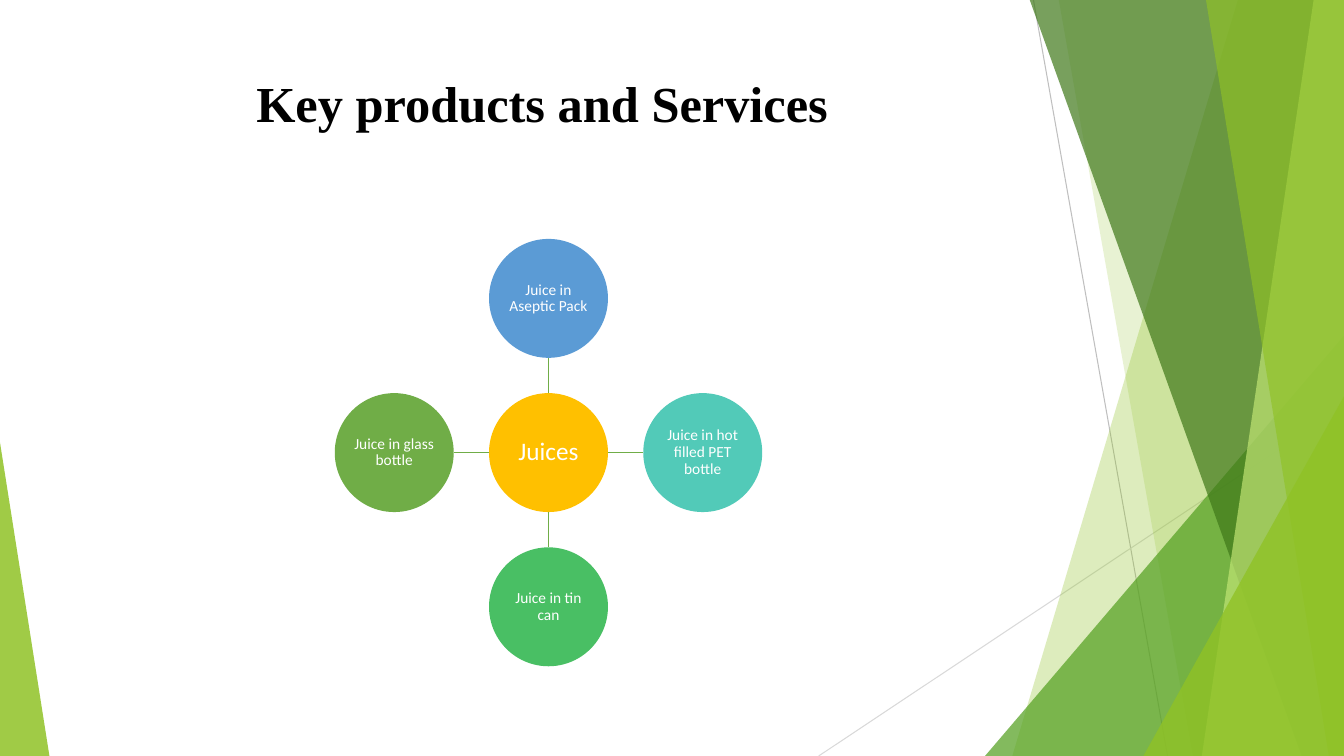
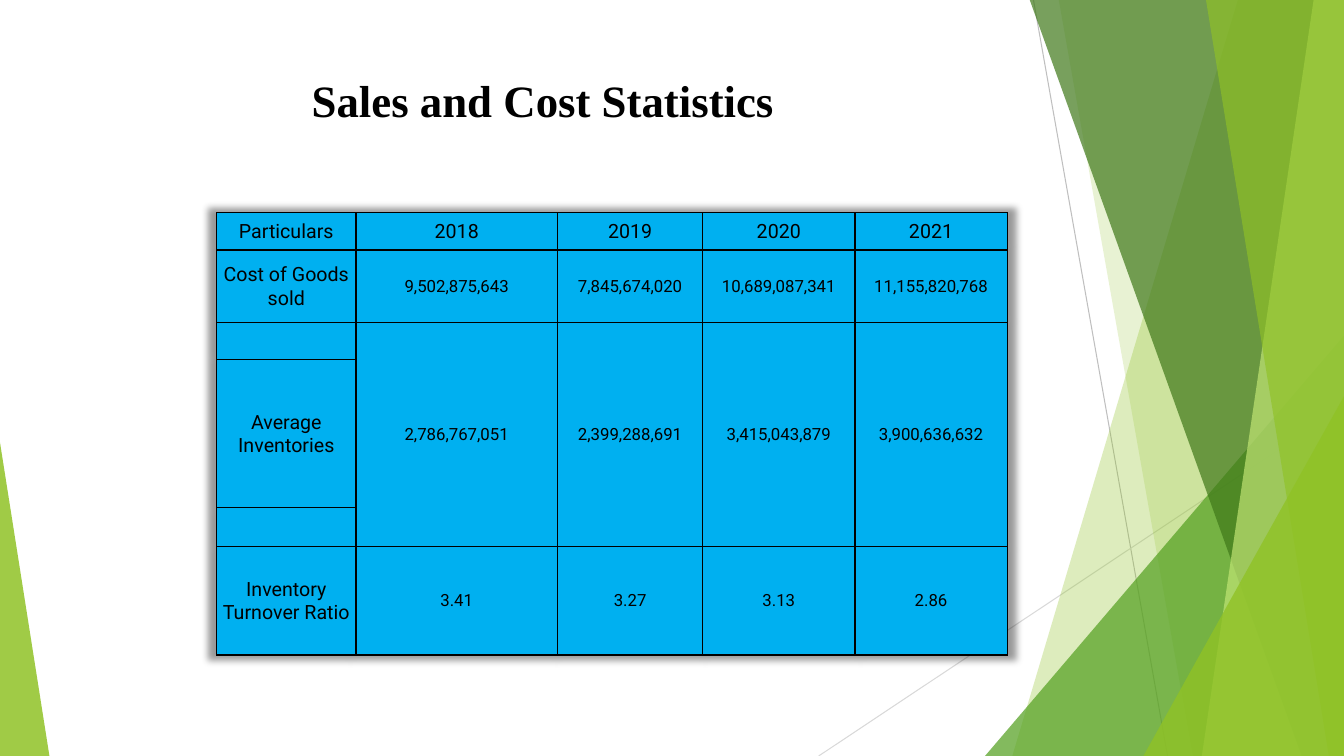
from dataclasses import dataclass

from lxml.etree import SubElement
from pptx import Presentation
from pptx.dml.color import RGBColor
from pptx.enum.shapes import MSO_CONNECTOR, MSO_SHAPE
from pptx.enum.text import MSO_ANCHOR, PP_ALIGN
from pptx.oxml import parse_xml
from pptx.oxml.ns import nsdecls, qn
from pptx.util import Inches, Pt

WIDTH, HEIGHT = 13.33, 7.5
BAND_TOP = -0.01
BLACK, WHITE, LIME = "000000", "FFFFFF", "90C226"
LINK_GREEN, TABLE_BLUE = "70AD47", "00B0F0"
TITLE_FONT, DIAGRAM_FONT, TABLE_FONT = "Times New Roman", "Calibri", "Roboto"


@dataclass(frozen=True)
class Band:
    """A panel from a slanted left edge to the right side of the slide."""
    top_x: float
    bottom_x: float
    fill: str
    opacity: int


@dataclass(frozen=True)
class Wedge:
    """A right triangle standing on the bottom of the slide."""
    left: float
    width: float
    height: float
    peak: float
    fill: str
    opacity: int


@dataclass(frozen=True)
class Rule:
    start: tuple[float, float]
    end: tuple[float, float]
    color: str
    weight: float


@dataclass(frozen=True)
class Node:
    """A circle, placed in steps right and down from the hub."""
    column: int
    row: int
    label: str
    fill: str
    size: int = 11


# Decoration shared by the slides, from back to front
DECORATION = (
    Rule((10.25, 0), (11.58, HEIGHT), "BFBFBF", 0.75),
    Rule((WIDTH, 4.03), (8.12, HEIGHT), "D9D9D9", 0.75),
    Band(12.28, 10.04, LIME, 30),
    Band(10.5, 11.83, LIME, 20),
    Wedge(9.77, 3.56, 4.17, 1, "54A021", 72),
    Band(10.21, 12.91, "3F7819", 70),
    Band(13.03, 11.92, "C0E474", 70),
    Band(11.96, 13.18, LIME, 65),
    Wedge(11.34, 1.99, 3.57, 1, LIME, 80),
    Wedge(0, 0.49, 3.11, 0, LIME, 85),
)

# Product diagram
HUB_X, HUB_Y = 5.44, 4.49
STEP, DIAMETER = 1.53, 1.18
NODES = (
    Node(0, 0, "Juices", "FFC000", 18),
    Node(0, -1, "Juice in Aseptic Pack", "5B9BD5"),
    Node(1, 0, "Juice in hot filled PET bottle", "52CAB8"),
    Node(0, 1, "Juice in tin can", "49BF64"),
    Node(-1, 0, "Juice in glass bottle", LINK_GREEN),
)

# Statistics table
COLUMN_WIDTHS = (1.38, 2, 1.44, 1.51, 1.51)
ROW_HEIGHTS = (0.37, 0.72, 0.37, 1.47, 0.38, 1.08)
MERGED_ROWS = (2, 4)
STATISTICS = (
    ("Particulars", "2018", "2019", "2020", "2021"),
    ("Cost of Goods sold", "9,502,875,643", "7,845,674,020", "10,689,087,341", "11,155,820,768"),
    ("", "2,786,767,051", "2,399,288,691", "3,415,043,879", "3,900,636,632"),
    ("Average Inventories",),
    ("",),
    ("Inventory Turnover Ratio", "3.41", "3.27", "3.13", "2.86"),
)


def rgb(color: str) -> RGBColor:
    return RGBColor.from_string(color)


def paint(shape, color: str, opacity: int = 100) -> None:
    """Fill a shape without outline or shadow."""
    shape.shadow.inherit = False
    shape.line.fill.background()
    shape.fill.solid()
    shape.fill.fore_color.rgb = rgb(color)
    if opacity < 100:
        color_element = shape.element.spPr.find(qn("a:solidFill"))[0]
        SubElement(color_element, qn("a:alpha"), val=str(opacity * 1000))


def write(text_frame, text: str, font: str, size: float, color: str, bold: bool = False) -> None:
    """Write one centred paragraph."""
    text_frame.text = text
    paragraph = text_frame.paragraphs[0]
    paragraph.alignment = PP_ALIGN.CENTER
    for run in paragraph.runs:
        run.font.name = font
        run.font.size = Pt(size)
        run.font.bold = bold
        run.font.color.rgb = rgb(color)


def add_rule(slide, rule: Rule) -> None:
    points = (Inches(value) for value in rule.start + rule.end)
    connector = slide.shapes.add_connector(MSO_CONNECTOR.STRAIGHT, *points)
    connector.line.color.rgb = rgb(rule.color)
    connector.line.width = Pt(rule.weight)
    SubElement(connector.element.spPr, qn("a:effectLst"))


def add_band(slide, band: Band) -> None:
    builder = slide.shapes.build_freeform(Inches(band.top_x), Inches(BAND_TOP))
    corners = ((WIDTH, BAND_TOP), (WIDTH, HEIGHT), (band.bottom_x, HEIGHT))
    builder.add_line_segments([(Inches(x), Inches(y)) for x, y in corners])
    paint(builder.convert_to_shape(), band.fill, band.opacity)


def add_wedge(slide, wedge: Wedge) -> None:
    shape = slide.shapes.add_shape(
        MSO_SHAPE.ISOSCELES_TRIANGLE, Inches(wedge.left), Inches(HEIGHT - wedge.height),
        Inches(wedge.width), Inches(wedge.height))
    shape.adjustments[0] = wedge.peak
    paint(shape, wedge.fill, wedge.opacity)


def add_base_slide(presentation, title: str, title_size: float):
    """Add a blank slide with the shared decoration and title."""
    slide = presentation.slides.add_slide(presentation.slide_layouts[6])
    drawers = {Rule: add_rule, Band: add_band, Wedge: add_wedge}
    for part in DECORATION:
        drawers[type(part)](slide, part)
    box = slide.shapes.add_textbox(Inches(0.74), Inches(0.67), Inches(9.4), Inches(1.44))
    box.text_frame.word_wrap = True
    write(box.text_frame, title, TITLE_FONT, title_size, BLACK, bold=True)
    return slide


def add_node(slide, node: Node) -> None:
    """Draw a circle and the line that joins it to the hub."""
    radius = DIAMETER / 2
    if node.column or node.row:
        start, end = (
            (HUB_X + node.column * reach, HUB_Y + node.row * reach)
            for reach in (radius, STEP - radius))
        add_rule(slide, Rule(start, end, LINK_GREEN, 1))
    circle = slide.shapes.add_shape(
        MSO_SHAPE.OVAL, Inches(HUB_X + node.column * STEP - radius),
        Inches(HUB_Y + node.row * STEP - radius), Inches(DIAMETER), Inches(DIAMETER))
    paint(circle, node.fill)
    frame = circle.text_frame
    frame.word_wrap = True
    frame.vertical_anchor = MSO_ANCHOR.MIDDLE
    frame.margin_left = frame.margin_right = Inches(0.01)
    frame.margin_top = frame.margin_bottom = Inches(0.01)
    write(frame, node.label, DIAGRAM_FONT, node.size, WHITE)
    frame.paragraphs[0].line_spacing = 0.9


def style_cell(cell) -> None:
    cell.vertical_anchor = MSO_ANCHOR.MIDDLE
    cell.margin_left = cell.margin_right = cell.margin_top = Inches(0.01)
    cell.margin_bottom = 0
    properties = cell._tc.get_or_add_tcPr()
    for side in ("lnL", "lnR", "lnT", "lnB"):
        properties.append(parse_xml(
            f'<a:{side} {nsdecls("a")} w="{Pt(1)}"><a:solidFill>'
            f'<a:srgbClr val="{BLACK}"/></a:solidFill></a:{side}>'))
    cell.fill.solid()
    cell.fill.fore_color.rgb = rgb(TABLE_BLUE)


def add_statistics(slide) -> None:
    frame = slide.shapes.add_table(
        len(ROW_HEIGHTS), len(COLUMN_WIDTHS), Inches(2.15), Inches(2.11),
        Inches(sum(COLUMN_WIDTHS)), Inches(sum(ROW_HEIGHTS)))
    table = frame.table
    table.first_row = table.horz_banding = False
    for column, width in zip(table.columns, COLUMN_WIDTHS):
        column.width = Inches(width)
    for row, height in zip(table.rows, ROW_HEIGHTS):
        row.height = Inches(height)
    for cell in table.iter_cells():
        style_cell(cell)

    # Cell text: headings are larger than figures
    for row_index, values in enumerate(STATISTICS):
        for column_index, value in enumerate(values):
            size = 12 if row_index and column_index else 14
            write(table.cell(row_index, column_index).text_frame, value, TABLE_FONT, size, BLACK)
    first, last = MERGED_ROWS
    for column_index in range(1, len(COLUMN_WIDTHS)):
        table.cell(first, column_index).merge(table.cell(last, column_index))

    # Soft shadow on all sides
    table_properties = frame.element.find(".//" + qn("a:tblPr"))
    table_properties.insert(0, parse_xml(
        f'<a:effectLst {nsdecls("a")}><a:outerShdw blurRad="{Pt(5)}" sx="102000" sy="102000" '
        f'algn="ctr" rotWithShape="0"><a:srgbClr val="{BLACK}"><a:alpha val="40000"/>'
        '</a:srgbClr></a:outerShdw></a:effectLst>'))


def main() -> None:
    presentation = Presentation()
    presentation.slide_width = Inches(WIDTH)
    presentation.slide_height = Inches(HEIGHT)

    # Products
    products = add_base_slide(presentation, "Key products and Services ", 36)
    for node in NODES:
        add_node(products, node)

    # Statistics
    add_statistics(add_base_slide(presentation, "Sales and Cost Statistics ", 32))

    presentation.save("out.pptx")


if __name__ == "__main__":
    main()
